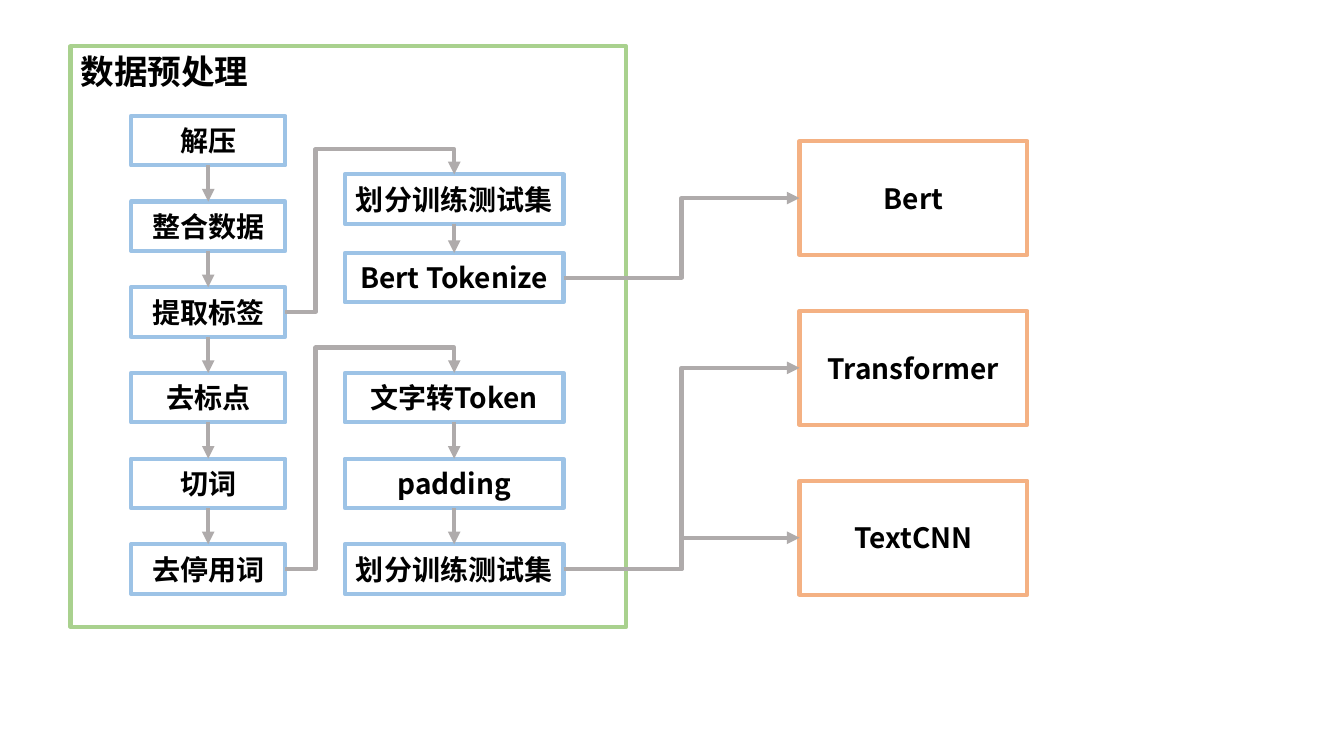
from dataclasses import dataclass
from itertools import pairwise

from pptx import Presentation
from pptx import util as u
from pptx.dml.color import RGBColor
from pptx.enum import shapes, text
from pptx.oxml.ns import qn
from pptx.oxml.xmlchemy import OxmlElement


@dataclass(frozen=True)
class Theme:
    """Colours, font and sizes of the flow diagram."""
    font: str = "Noto Sans CJK SC"
    ink: str = "000000"
    step: str = "9DC3E6"
    model: str = "F4B183"
    frame: str = "A9D18E"
    arrow: str = "ABABAB".replace("ABABAB", "AFABAB")
    label_size: int = 20
    title_size: int = 24
    stroke: int = 3


THEME = Theme(arrow="AFABAB")
TOP, LEFT, BOTTOM, RIGHT = range(4)
STEP_HEIGHT = 0.49
ROW_TOP, ROW_PITCH = 1.15, 0.85
ELBOW_OUT, ELBOW_RISE = 0.3, 0.25


def add_box(page, label, left, top, width, height, colour, size=THEME.label_size):
    """Add an unfilled outlined rectangle with a bold centred label."""
    box = page.shapes.add_shape(
        shapes.MSO_SHAPE.RECTANGLE, *map(u.Inches, (left, top, width, height)))
    box.shadow.inherit = False
    box.fill.background()
    box.line.color.rgb = RGBColor.from_string(colour)
    box.line.width = u.Pt(THEME.stroke)
    frame = box.text_frame
    frame.text = label
    frame.word_wrap = True
    frame.vertical_anchor = text.MSO_ANCHOR.MIDDLE
    para = frame.paragraphs[0]
    para.alignment = text.PP_ALIGN.CENTER
    font = para.runs[0].font
    font.name, font.size, font.bold = THEME.font, u.Pt(size), True
    font.color.rgb = RGBColor.from_string(THEME.ink)
    east_asian = OxmlElement("a:ea")
    east_asian.set("typeface", THEME.font)
    font._element.find(qn("a:latin")).addnext(east_asian)
    return box


def add_frame(page, title, left, top, width, height):
    """Add the group outline with its title at the top left."""
    box = add_box(page, title, left, top, width, height, THEME.frame, THEME.title_size)
    box.text_frame.word_wrap = False
    box.text_frame.vertical_anchor = text.MSO_ANCHOR.TOP
    box.text_frame.paragraphs[0].alignment = text.PP_ALIGN.LEFT


def site(box, side):
    """Return the midpoint of one side of a box."""
    middle_x, middle_y = box.left + box.width // 2, box.top + box.height // 2
    return {TOP: (middle_x, box.top), LEFT: (box.left, middle_y),
            BOTTOM: (middle_x, box.top + box.height),
            RIGHT: (box.left + box.width, middle_y)}[side]


def add_arrow(page, source, source_side, target, target_side, kind):
    """Glue an arrow from a side of one box to a side of another."""
    arrow = page.shapes.add_connector(
        kind, *site(source, source_side), *site(target, target_side))
    arrow.begin_connect(source, source_side)
    arrow.end_connect(target, target_side)
    arrow.line.color.rgb = RGBColor.from_string(THEME.arrow)
    arrow.line.width = u.Pt(THEME.stroke)
    outline = arrow.line._get_or_add_ln()
    head = OxmlElement("a:tailEnd")
    head.set("type", "triangle")
    outline.append(head)
    outline.addnext(OxmlElement("a:effectLst"))
    return arrow


def add_chain(page, boxes):
    """Link stacked boxes with straight downward arrows."""
    for upper, lower in pairwise(boxes):
        add_arrow(page, upper, BOTTOM, lower, TOP, shapes.MSO_CONNECTOR.STRAIGHT)


def add_branch(page, source, target):
    """Lead an arrow out to the right, up and down onto the target's top."""
    arrow = add_arrow(page, source, RIGHT, target, TOP, shapes.MSO_CONNECTOR.ELBOW)
    geometry = arrow._element.spPr.find(qn("a:prstGeom"))
    geometry.set("prst", "bentConnector4")
    guides = geometry.find(qn("a:avLst"))
    ratios = (u.Inches(ELBOW_OUT) / arrow.width,
              1 + u.Inches(ELBOW_RISE) / arrow.height)
    for number, ratio in enumerate(ratios, 1):
        guide = OxmlElement("a:gd")
        guide.set("name", f"adj{number}")
        guide.set("fmla", f"val {round(ratio * 100000)}")
        guides.append(guide)


def main():
    """Build the preprocessing and model flow slide."""
    deck = Presentation()
    deck.slide_width, deck.slide_height = u.Inches(13.33), u.Inches(7.5)
    page = deck.slides.add_slide(deck.slide_layouts[6])

    add_frame(page, "数据预处理", 0.7, 0.46, 5.51, 5.76)

    rows = [ROW_TOP + ROW_PITCH * row for row in range(6)]
    cleaning = [add_box(page, label, 1.3, top, 1.53, STEP_HEIGHT, THEME.step)
                for label, top in zip(
                    ("解压", "整合数据", "提取标签", "去标点", "切词", "去停用词"), rows)]
    bert_steps = [add_box(page, label, 3.42, top, 2.17, STEP_HEIGHT, THEME.step)
                  for label, top in (("划分训练测试集", 1.73), ("Bert Tokenize", 2.51))]
    token_steps = [add_box(page, label, 3.42, top, 2.17, STEP_HEIGHT, THEME.step)
                   for label, top in zip(
                       ("文字转Token", "padding", "划分训练测试集"), rows[3:])]
    bert, transformer, text_cnn = [
        add_box(page, label, 7.93, 1.4 + 1.685 * row, 2.26, 1.13, THEME.model)
        for row, label in enumerate(("Bert", "Transformer", "TextCNN"))]

    for chain in (cleaning, bert_steps, token_steps):
        add_chain(page, chain)
    add_branch(page, cleaning[2], bert_steps[0])
    add_branch(page, cleaning[-1], token_steps[0])
    for source, model in ((bert_steps[-1], bert), (token_steps[-1], transformer),
                          (token_steps[-1], text_cnn)):
        add_arrow(page, source, RIGHT, model, LEFT, shapes.MSO_CONNECTOR.ELBOW)

    deck.save("out.pptx")


if __name__ == "__main__":
    main()
